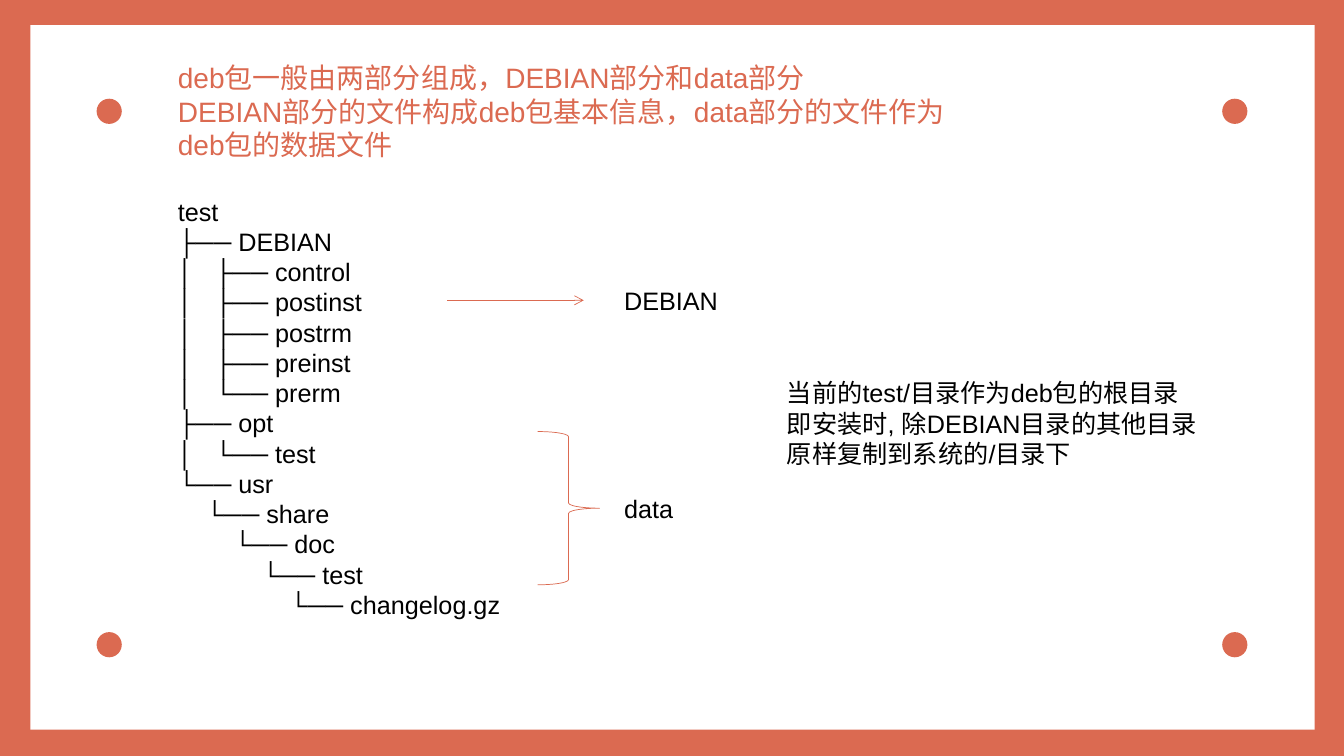
"""Build a slide on the layout of a deb package: DEBIAN part and data part."""
from lxml import etree
from pptx import Presentation
from pptx.dml.color import RGBColor
from pptx.enum.shapes import MSO_CONNECTOR, MSO_SHAPE
from pptx.enum.text import MSO_AUTO_SIZE
from pptx.oxml.ns import qn
from pptx.util import Pt

PX = 9525
COLORS = {"coral": "DB6A51", "white": "FFFFFF", "black": "000000"}
RECTANGLE, OVAL, BRACE = MSO_SHAPE.RECTANGLE, MSO_SHAPE.OVAL, MSO_SHAPE.RIGHT_BRACE
STRAIGHT = MSO_CONNECTOR.STRAIGHT
GROW = MSO_AUTO_SIZE.SHAPE_TO_FIT_TEXT

HEADING = [
    "deb包一般由两部分组成，DEBIAN部分和data部分",
    "DEBIAN部分的文件构成deb包基本信息，data部分的文件作为deb包的数据文件",
]
TREE = [
    "test",
    "├── DEBIAN",
    "│   ├── control",
    "│   ├── postinst",
    "│   ├── postrm",
    "│   ├── preinst",
    "│   └── prerm",
    "├── opt",
    "│   └── test",
    "└── usr",
    "    └── share",
    "        └── doc",
    "            └── test",
    "                └── changelog.gz",
]
ROOT_NOTE = [
    "当前的test/目录作为deb包的根目录",
    "即安装时, 除DEBIAN目录的其他目录",
    "原样复制到系统的/目录下",
]

prs = Presentation()
prs.slide_width, prs.slide_height = 1280 * PX, 720 * PX
slide = prs.slides.add_slide(prs.slide_layouts[6])
slide.background.fill.solid()
slide.background.fill.fore_color.rgb = RGBColor.from_string(COLORS["coral"])


def add_filled(kind, left, top, width, height, color):
    shape = slide.shapes.add_shape(kind, left * PX, top * PX, width * PX, height * PX)
    shape.shadow.inherit = False
    shape.fill.solid()
    shape.fill.fore_color.rgb = RGBColor.from_string(COLORS[color])
    shape.line.fill.background()


def add_text(lines, left, top, width, height, size=18, color="black", wrap=False):
    box = slide.shapes.add_textbox(left * PX, top * PX, width * PX, height * PX)
    frame = box.text_frame
    frame.word_wrap = wrap
    frame.auto_size = GROW
    frame.text = "\n".join(lines)
    for paragraph in frame.paragraphs:
        paragraph.font.name = "Arial"
        paragraph.font.size = Pt(size)
        paragraph.font.color.rgb = RGBColor.from_string(COLORS[color])


add_filled(RECTANGLE, 29, 24, 1223, 671, "white")
for dot_top in (94, 602):
    for dot_left in (92, 1164):
        add_filled(OVAL, dot_left, dot_top, 24, 24, "coral")

add_text(HEADING, 160, 53, 783, 107, size=20, color="coral", wrap=True)
add_text(TREE, 160, 182, 352, 417)

debian_arrow = slide.shapes.add_connector(STRAIGHT, 426 * PX, 286 * PX, 556 * PX, 286 * PX)
etree.SubElement(debian_arrow.line._get_or_add_ln(), qn("a:tailEnd"), type="arrow")
data_brace = slide.shapes.add_shape(BRACE, 512 * PX, 411 * PX, 59 * PX, 146 * PX)
data_brace.fill.background()
data_brace.shadow.inherit = False
for mark in (debian_arrow, data_brace):
    mark.line.color.rgb = RGBColor.from_string(COLORS["coral"])
    mark.line.width = Pt(0.5)
etree.SubElement(debian_arrow._element.spPr, qn("a:effectLst"))

add_text(["DEBIAN"], 585, 267, 110, 38)
add_text(["data"], 585, 465, 73, 38)
add_text(ROOT_NOTE, 740, 355, 413, 97, wrap=True)

prs.save("out.pptx")
